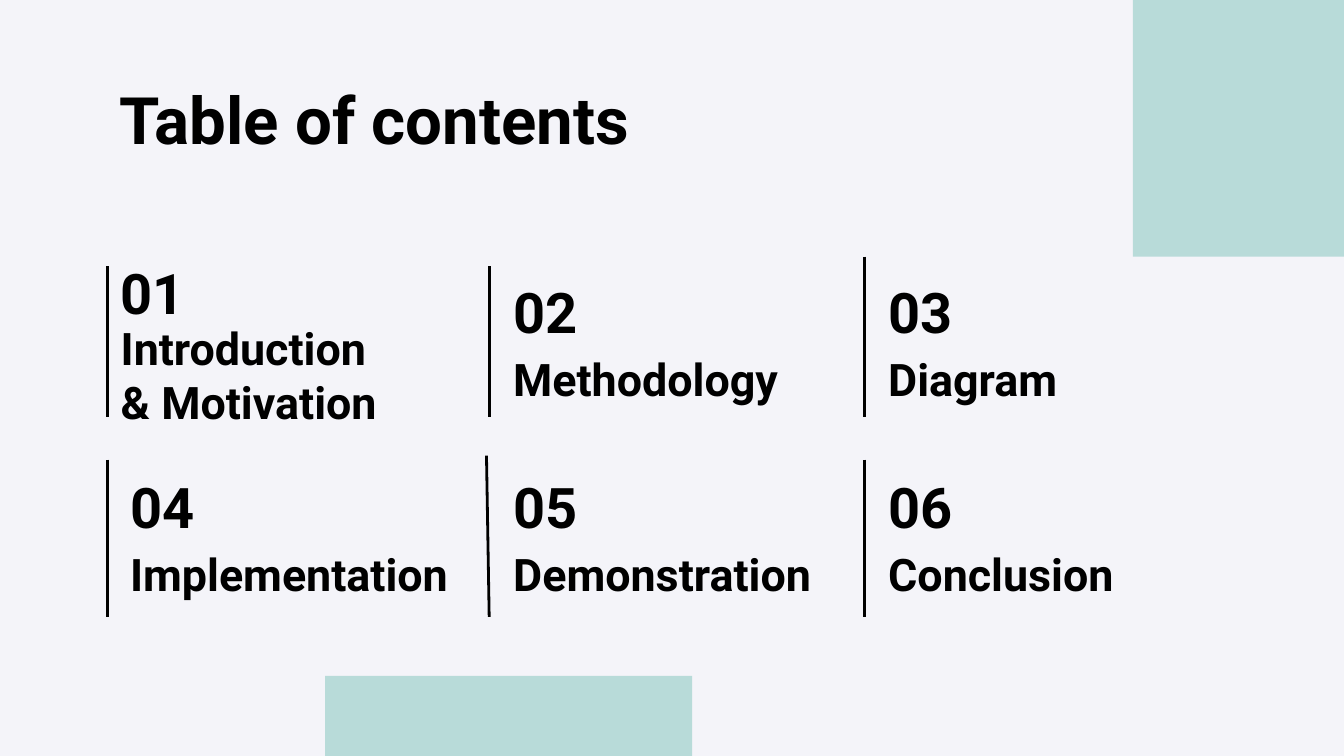
from lxml import etree
from pptx import Presentation
from pptx import util as u
from pptx.dml import color
from pptx.enum import shapes, text
from pptx.oxml import ns

BLACK, TEAL, PAPER = "000000", "B8DBD9", "F4F4F9"


def paint(fill, hex_color):
    fill.solid()
    fill.fore_color.rgb = color.RGBColor.from_string(hex_color)


def add_text(words, left, top, width, height, size=24, anchor=text.MSO_ANCHOR.MIDDLE):
    box = page.shapes.add_textbox(*map(u.Inches, (left, top, width, height)))
    frame = box.text_frame
    frame.word_wrap = True
    frame.vertical_anchor = anchor
    frame.margin_left = frame.margin_right = u.Inches(0.1)
    frame.margin_top = frame.margin_bottom = u.Inches(0.1)
    span = frame.paragraphs[0].add_run()
    span.text = words
    span.font.name, span.font.size, span.font.bold = "Roboto", u.Pt(size), True
    paint(span.font.fill, BLACK)


deck = Presentation()
deck.slide_width, deck.slide_height = u.Inches(10), u.Inches(5.625)
page = deck.slides.add_slide(deck.slide_layouts[6])
paint(page.background.fill, PAPER)

# Teal blocks bleeding off the bottom and the top right corner
for area in ((2.42, 5.03, 2.73, 1.13), (8.43, -1.96, 2.51, 3.87)):
    block = page.shapes.add_shape(shapes.MSO_SHAPE.RECTANGLE, *map(u.Inches, area))
    block.shadow.inherit = False
    paint(block.fill, TEAL)
    block.line.fill.background()

# Heading
add_text("Table of contents", 0.79, 0.49, 8.43, 0.63, size=35, anchor=text.MSO_ANCHOR.TOP)

# Contents grid: three columns, two rows
columns = (0.87, 3.72, 6.51)
rows = (2.07, 3.52)
topics = ("Introduction & Motivation", "Methodology", "Diagram",
          "Implementation", "Demonstration", "Conclusion")
for index, topic in enumerate(topics):
    row, column = divmod(index, len(columns))
    left, top = columns[column], rows[row]
    number_top, topic_top, topic_width, topic_height = top, top + 0.53, 2.75, 0.43
    if index == 0:  # the two-line topic sits higher and closer to its rule
        left, number_top = 0.8, top - 0.14
        topic_top, topic_width, topic_height = top + 0.25, 2.31, 0.93
    add_text(f"{index + 1:02}", left, number_top, 2.31, 0.49, size=30)
    add_text(topic, left, topic_top, topic_width, topic_height)

# Vertical rules: top x, top y, bottom x, bottom y
rules = ((0.8, 1.98, 0.8, 3.1), (3.64, 1.98, 3.64, 3.1), (6.43, 1.91, 6.43, 3.1),
         (0.8, 3.42, 0.8, 4.59), (3.62, 3.39, 3.64, 4.59), (6.43, 3.42, 6.43, 4.59))
for ends in rules:
    rule = page.shapes.add_connector(shapes.MSO_CONNECTOR.STRAIGHT, *map(u.Inches, ends))
    rule.line.width = u.Pt(1.5)
    paint(rule.line.fill, BLACK)
    etree.SubElement(rule._element.spPr, ns.qn("a:effectLst"))

deck.save("out.pptx")
